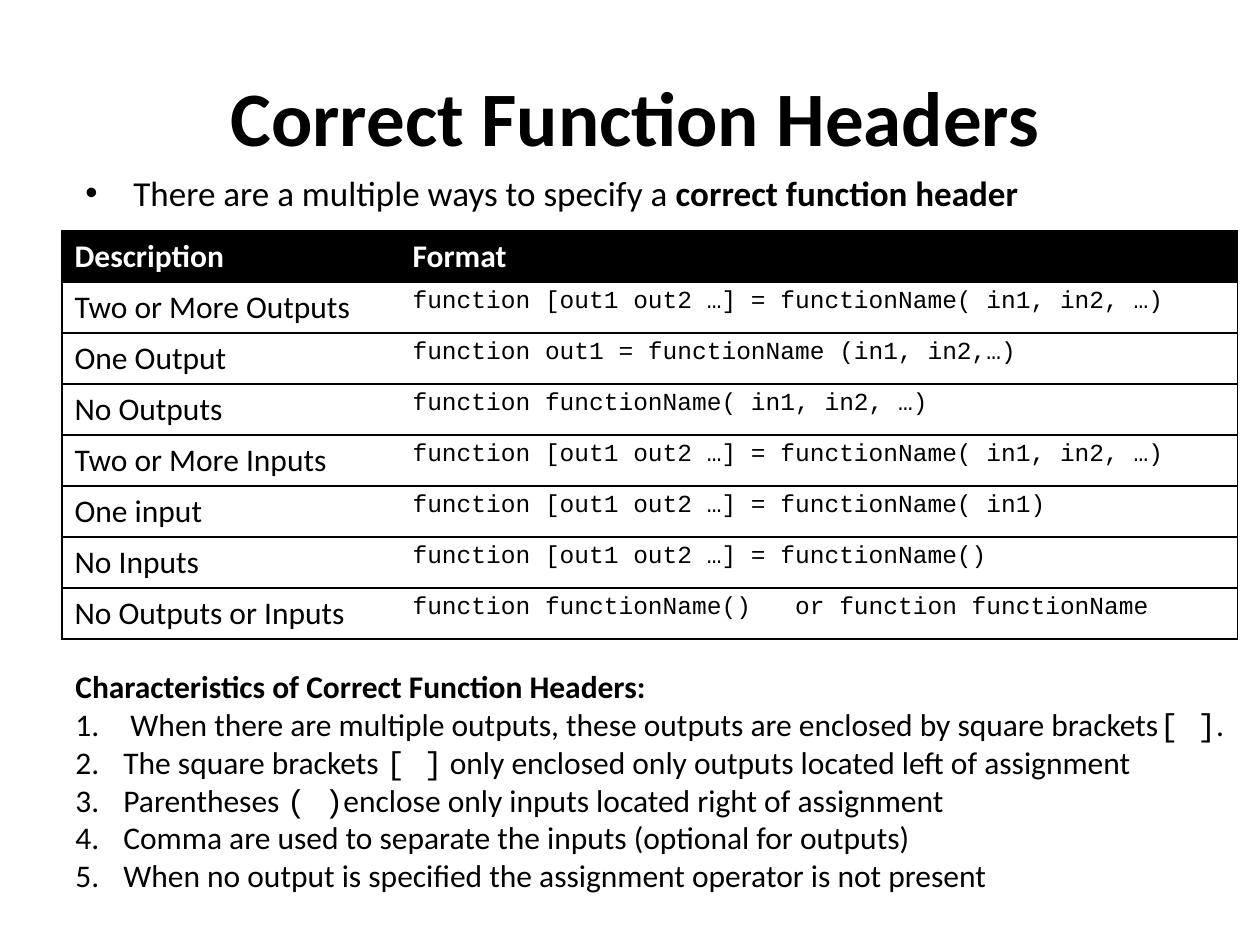
from pptx import Presentation
from pptx.dml.color import RGBColor
from pptx.enum.text import MSO_ANCHOR, PP_ALIGN
from pptx.oxml.ns import qn
from pptx.util import Emu, Pt
from lxml.etree import SubElement

BLACK = RGBColor(0x00, 0x00, 0x00)
WHITE = RGBColor(0xFF, 0xFF, 0xFF)
SCALE = 914400 // 126
BODY, CODE = "Calibri", "Courier New"


def px(*lengths):
    return [Emu(v * SCALE) for v in lengths]


class Deck:
    """Holds the style and the current slide."""
    indent = 48
    line_width = Pt(0.75)

    def __init__(self, slide):
        self.s = slide

    def run(self, p, text, size, font=BODY, color=BLACK, bold=False):
        r = p.add_run()
        r.text = text
        r.font.name, r.font.size, r.font.bold = font, Pt(size), bold
        r.font.color.rgb = color

    def title(self, box, text, size):
        sp = self.s.shapes.title
        sp.left, sp.top, sp.width, sp.height = px(*box)
        sp.text_frame.vertical_anchor = MSO_ANCHOR.MIDDLE
        p = sp.text_frame.paragraphs[0]
        p.alignment = PP_ALIGN.CENTER
        self.run(p, text, size, bold=True)

    def bullet(self, p, tag, **attrs):
        pPr = p._p.get_or_add_pPr()
        step = self.indent * SCALE
        pPr.set("marL", str(step))
        pPr.set("indent", str(-step))
        SubElement(pPr, qn("a:buFont"), typeface="Arial" if tag == "a:buChar" else BODY)
        SubElement(pPr, qn(tag), **attrs)

    def text_box(self, box):
        tf = self.s.shapes.add_textbox(*px(*box)).text_frame
        tf.word_wrap = True
        return tf

    def border(self, cell, sides):
        """Lines the given sides of a cell and clears the others."""
        tcPr = cell._tc.get_or_add_tcPr()
        for side in "LRTB":
            ln = SubElement(tcPr, qn("a:ln" + side), w=str(self.line_width))
            if side in sides:
                fill = SubElement(ln, qn("a:solidFill"))
                SubElement(fill, qn("a:srgbClr"), val=str(BLACK))
            else:
                SubElement(ln, qn("a:noFill"))

    def table(self, left, top, widths, row_height, rows):
        frame = self.s.shapes.add_table(
            len(rows), len(widths), *px(left, top, sum(widths), row_height * len(rows)))
        table = frame.table
        for column, width in zip(table.columns, px(*widths)):
            column.width = width
        for i, row in enumerate(rows):
            table.rows[i].height = px(row_height)[0]
            for j, text in enumerate(row):
                cell = table.cell(i, j)
                self.border(cell, "LTB" if j == 0 else "RTB")
                cell.fill.solid()
                cell.fill.fore_color.rgb = BLACK if i == 0 else WHITE
                p = cell.text_frame.paragraphs[0]
                if i == 0:
                    self.run(p, text, 18, color=WHITE, bold=True)
                elif j == 0:
                    self.run(p, text, 18)
                else:
                    self.run(p, text, 14, CODE)


prs = Presentation()
prs.slide_width, prs.slide_height = px(1260, 945)
deck = Deck(prs.slides.add_slide(prs.slide_layouts[5]))

# Title and introduction
deck.title((84, 63, 1103, 106), "Correct Function Headers", 44)
p = deck.text_box((73, 165, 1134, 60)).paragraphs[0]
p.space_before = Pt(4)
deck.bullet(p, "a:buChar", char="•")
deck.run(p, "There are a multiple ways to specify a ", 20)
deck.run(p, "correct function header", 20, bold=True)

# Table of header formats
deck.table(62, 231, (338, 838), 51, [
    ("Description", "Format"),
    ("Two or More Outputs", "function [out1 out2 …] = functionName( in1, in2, …)"),
    ("One Output", "function out1 = functionName (in1, in2,…)"),
    ("No Outputs", "function functionName( in1, in2, …)"),
    ("Two or More Inputs", "function [out1 out2 …] = functionName( in1, in2, …)"),
    ("One input ", "function [out1 out2 …] = functionName( in1)"),
    ("No Inputs", "function [out1 out2 …] = functionName()"),
    ("No Outputs or Inputs", "function functionName()   or function functionName"),
])

# Numbered characteristics: text parts alternate with code parts
characteristics = [
    (" When there are multiple outputs, these outputs are enclosed by square brackets",
     "[ ]", "."),
    ("The square brackets ", "[ ]", " only enclosed only outputs located left of assignment"),
    ("Parentheses ", "( )", "enclose only inputs located right of assignment"),
    ("Comma are used to separate the inputs (optional for outputs)",),
    ("When no output is specified the assignment operator is not present",),
]
tf = deck.text_box((63, 661, 1187, 242))
deck.run(tf.paragraphs[0], "Characteristics of Correct Function Headers:", 18, bold=True)
for parts in characteristics:
    p = tf.add_paragraph()
    deck.bullet(p, "a:buAutoNum", type="arabicPeriod")
    for k, part in enumerate(parts):
        deck.run(p, part, 18, CODE if k % 2 else BODY)

prs.save("out.pptx")
